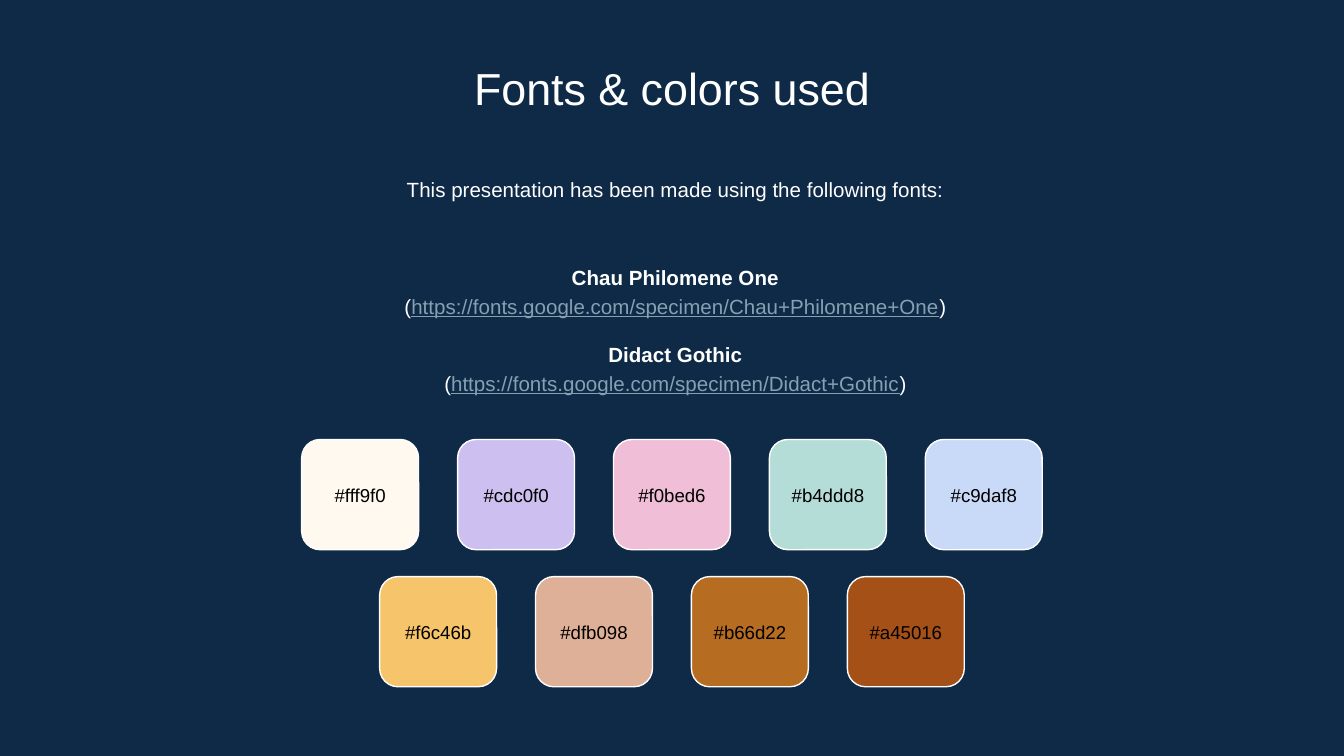
import pptx
import pptx.util
import pptx.dml.color
import pptx.enum.shapes
import pptx.enum.text

Inches, Pt = pptx.util.Inches, pptx.util.Pt
RGB = pptx.dml.color.RGBColor.from_string
ANCHOR = pptx.enum.text.MSO_ANCHOR

# Content
TITLE = "Fonts & colors used"
INTRO = "This presentation has been made using the following fonts:"
FONTS = [
    ("Chau Philomene One", "https://fonts.google.com/specimen/Chau+Philomene+One"),
    ("Didact Gothic", "https://fonts.google.com/specimen/Didact+Gothic"),
]
SWATCHES = [
    ["#fff9f0", "#cdc0f0", "#f0bed6", "#b4ddd8", "#c9daf8"],
    ["#f6c46b", "#dfb098", "#b66d22", "#a45016"],
]

THEME = {
    "font": "Arial", "bg": "0E2A47", "text": "FFFFFF", "link": "869FB2",
    "label": "000000", "title_size": 24, "body_size": 11, "label_size": 10,
}

# Layout in inches, on a 16:9 slide
WIDTH = 10
HEIGHT = WIDTH * 9 / 16
BODY_W, BODY_X = 7.71, 1.17
TILE_W, TILE_H, LABEL_H = 0.87, 0.82, 0.48
PITCH_X, PITCH_Y, GRID_TOP = 1.16, 1.02, 3.27
FONT_GAP = 11  # points between font entries


def add_text(slide, box, paragraphs, size, anchor=ANCHOR.TOP, spacing=None):
    """Each paragraph is (space before, [(text, colour, bold, underline)])."""
    sp = slide.shapes.add_textbox(*map(Inches, box))
    tf = sp.text_frame
    tf.word_wrap = True
    tf.vertical_anchor = anchor
    tf.margin_left = tf.margin_right = tf.margin_top = tf.margin_bottom = Inches(0.1)
    for i, (before, runs) in enumerate(paragraphs):
        p = tf.add_paragraph() if i else tf.paragraphs[0]
        p.alignment = pptx.enum.text.PP_ALIGN.CENTER
        if spacing:
            p.line_spacing = spacing
        if before:
            p.space_before = Pt(before)
        for text, color, bold, underline in runs:
            r = p.add_run()
            r.text = text
            r.font.name, r.font.size = THEME["font"], Pt(size)
            r.font.bold, r.font.underline = bold, underline
            r.font.color.rgb = RGB(THEME[color])


def add_swatch(slide, x, y, code):
    sp = slide.shapes.add_shape(
        pptx.enum.shapes.MSO_SHAPE.ROUNDED_RECTANGLE,
        *map(Inches, (x, y, TILE_W, TILE_H)))
    sp.shadow.inherit = False
    sp.adjustments[0] = 1 / 6
    sp.fill.solid()
    sp.fill.fore_color.rgb = RGB(code[1:].upper())
    sp.line.color.rgb = RGB(THEME["text"])
    sp.line.width = Pt(0.75)
    add_text(slide, (x, y + (TILE_H - LABEL_H) / 2, TILE_W, LABEL_H),
             [(0, [(code, "label", False, False)])],
             THEME["label_size"], ANCHOR.MIDDLE)


def main():
    prs = pptx.Presentation()
    prs.slide_width, prs.slide_height = Inches(WIDTH), Inches(HEIGHT)
    s = prs.slides.add_slide(prs.slide_layouts[6])
    s.background.fill.solid()
    s.background.fill.fore_color.rgb = RGB(THEME["bg"])

    # Introduction
    add_text(s, (BODY_X, 1.19, BODY_W, 0.48),
             [(0, [(INTRO, "text", False, False)])], THEME["body_size"], spacing=1.15)

    # Font names with their addresses
    entries = []
    for i, (name, url) in enumerate(FONTS):
        entries.append((FONT_GAP if i else 0, [(name, "text", True, False)]))
        entries.append((0, [("(", "text", False, False), (url, "link", False, True),
                            (")", "text", False, False)]))
    add_text(s, (BODY_X, 1.76, BODY_W, 1.37), entries,
             THEME["body_size"], ANCHOR.MIDDLE, 1.15)

    # Colour swatches, each row centred on the slide
    for row, codes in enumerate(SWATCHES):
        left = (WIDTH - TILE_W - PITCH_X * (len(codes) - 1)) / 2
        for col, code in enumerate(codes):
            add_swatch(s, left + col * PITCH_X, GRID_TOP + row * PITCH_Y, code)

    # Title
    add_text(s, ((WIDTH - BODY_W) / 2, 0.35, BODY_W, 0.53),
             [(0, [(TITLE, "text", False, False)])], THEME["title_size"])

    prs.save("out.pptx")


if __name__ == "__main__":
    main()
